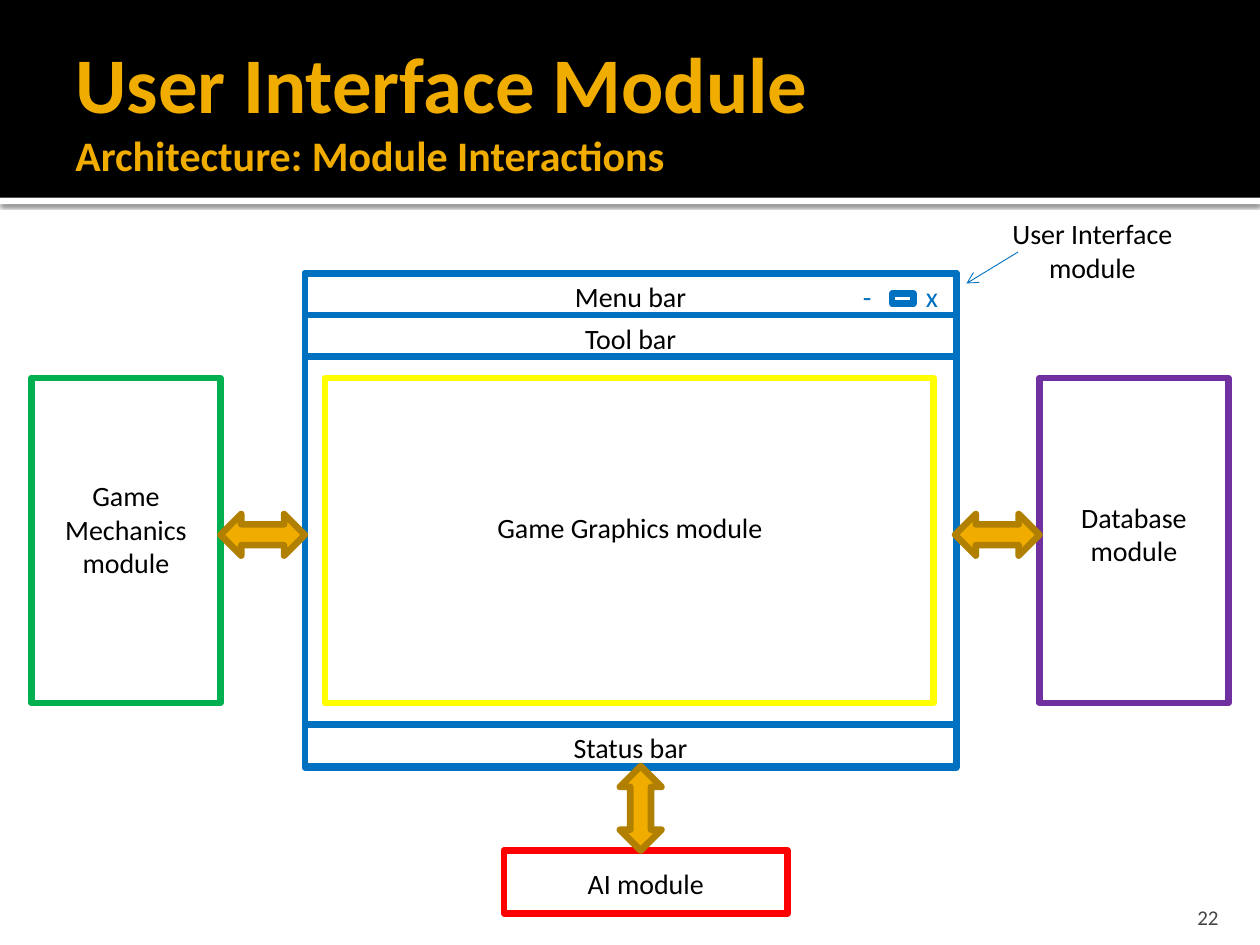
"""Build the User Interface Module slide showing how the game modules interact."""
from lxml.etree import SubElement
from pptx import Presentation
from pptx.dml.color import RGBColor
from pptx.enum.shapes import MSO_CONNECTOR, MSO_SHAPE as SHAPE
from pptx.enum.text import MSO_ANCHOR as ANCHOR, MSO_AUTO_SIZE, PP_ALIGN as ALIGN
from pptx.oxml.ns import qn
from pptx.util import Inches, Pt

COLORS = {
    "black": "000000", "white": "FFFFFF", "gold": "F0AD00", "bronze": "B28000",
    "blue": "0070C0", "yellow": "FFFF00", "green": "00B050", "purple": "7030A0",
    "red": "FF0000", "gray": "454545",
}

deck = Presentation()
deck.slide_width, deck.slide_height = Inches(10), Inches(7.5)
slide = deck.slides.add_slide(deck.slide_layouts[6])


def add_block(box, fill=None, line=None, kind=SHAPE.RECTANGLE):
    block = slide.shapes.add_shape(kind, *map(Inches, box))
    block.shadow.inherit = False
    if fill:
        block.fill.solid()
        block.fill.fore_color.rgb = RGBColor.from_string(COLORS[fill])
    else:
        block.fill.background()
    if line:
        block.line.color.rgb = RGBColor.from_string(COLORS[line])
        block.line.width = Pt(3.78)
    else:
        block.line.fill.background()
    return block


def add_label(text, box, color="black", sizes=(16,), align=ALIGN.CENTER, bold=False):
    label = slide.shapes.add_textbox(*map(Inches, box))
    frame = label.text_frame
    frame.word_wrap = True
    frame.auto_size = MSO_AUTO_SIZE.SHAPE_TO_FIT_TEXT
    paragraph = frame.paragraphs[0]
    paragraph.text = text
    paragraph.alignment = align
    for run, size in zip(paragraph.runs, sizes):
        run.font.name = "Calibri"
        run.font.size = Pt(size)
        run.font.bold = bold
        run.font.color.rgb = RGBColor.from_string(COLORS[color])
    return frame


divider = add_block((0, 1.57, 10, 0.05), fill="white")
divider_shadow = SubElement(divider.element.spPr.find(qn("a:effectLst")), qn("a:outerShdw"),
                            blurRad=str(Pt(2.5)), dist=str(Pt(0.8)), dir="5400000",
                            algn="tl", rotWithShape="0")
shadow_color = SubElement(divider_shadow, qn("a:srgbClr"), val=COLORS["black"])
SubElement(shadow_color, qn("a:alpha"), val="60000")
add_block((0, 0, 10, 1.57), fill="black")

page_number = add_label("22", (8.97, 7.08, 0.8, 0.3), "gray", (12,), ALIGN.RIGHT)
page_number.auto_size = MSO_AUTO_SIZE.NONE
page_number.vertical_anchor = ANCHOR.BOTTOM
page_number.margin_bottom = 0

title = add_label("User Interface Module\vArchitecture: Module Interactions",
                  (0.5, 0.17, 9, 1.37), "gold", (45, 24), ALIGN.LEFT, True)
title.auto_size = MSO_AUTO_SIZE.NONE
title.vertical_anchor = ANCHOR.MIDDLE
title.margin_right = Inches(0.05)

window_left, window_width = 2.42, 5.17
add_block((window_left, 2.17, window_width, 3.92), line="blue")
for name, top in (("Menu bar", 2.17), ("Tool bar", 2.5), ("Status bar", 5.75)):
    add_block((window_left, top, window_width, 0.33), line="blue")
    add_label(name, (window_left, top, window_width, 0.37))

for symbol, left in (("-", 6.75), ("x", 7.25)):
    add_label(symbol, (left, 2.17, 0.25, 0.37), "blue", align=ALIGN.LEFT)
add_block((7.08, 2.33, 0.17, 0.08), line="blue")

modules = [
    ("Game Graphics module", "yellow", (2.58, 3, 4.83, 2.58), (2.25, 4, 5.5, 0.37)),
    ("Game Mechanics module", "green", (0.25, 3, 1.5, 2.58), (0.25, 3.75, 1.5, 0.91)),
    ("Database module", "purple", (8.25, 3, 1.5, 2.58), (8.25, 3.92, 1.5, 0.64)),
    ("AI module", "red", (4, 6.75, 2.25, 0.5), (4, 6.83, 2.25, 0.37)),
]
for name, color, outline_box, label_box in modules:
    add_block(outline_box, line=color)
    add_label(name, label_box)

for left, top, angle in ((1.75, 4.08, 0), (7.58, 4.08, 0), (4.75, 6.25, 270)):
    exchange = add_block((left, top, 0.67, 0.33), "gold", "bronze", SHAPE.LEFT_RIGHT_ARROW)
    exchange.rotation = angle

add_label("User Interface module", (7.92, 1.67, 1.5, 0.64))
pointer = slide.shapes.add_connector(
    MSO_CONNECTOR.STRAIGHT, Inches(8.08), Inches(2), Inches(7.67), Inches(2.25))
pointer.line.color.rgb = RGBColor.from_string(COLORS["blue"])
pointer.line.width = Pt(0.5)
SubElement(pointer.line._get_or_add_ln(), qn("a:tailEnd"), type="arrow")
SubElement(pointer.element.spPr, qn("a:effectLst"))

deck.save("out.pptx")
